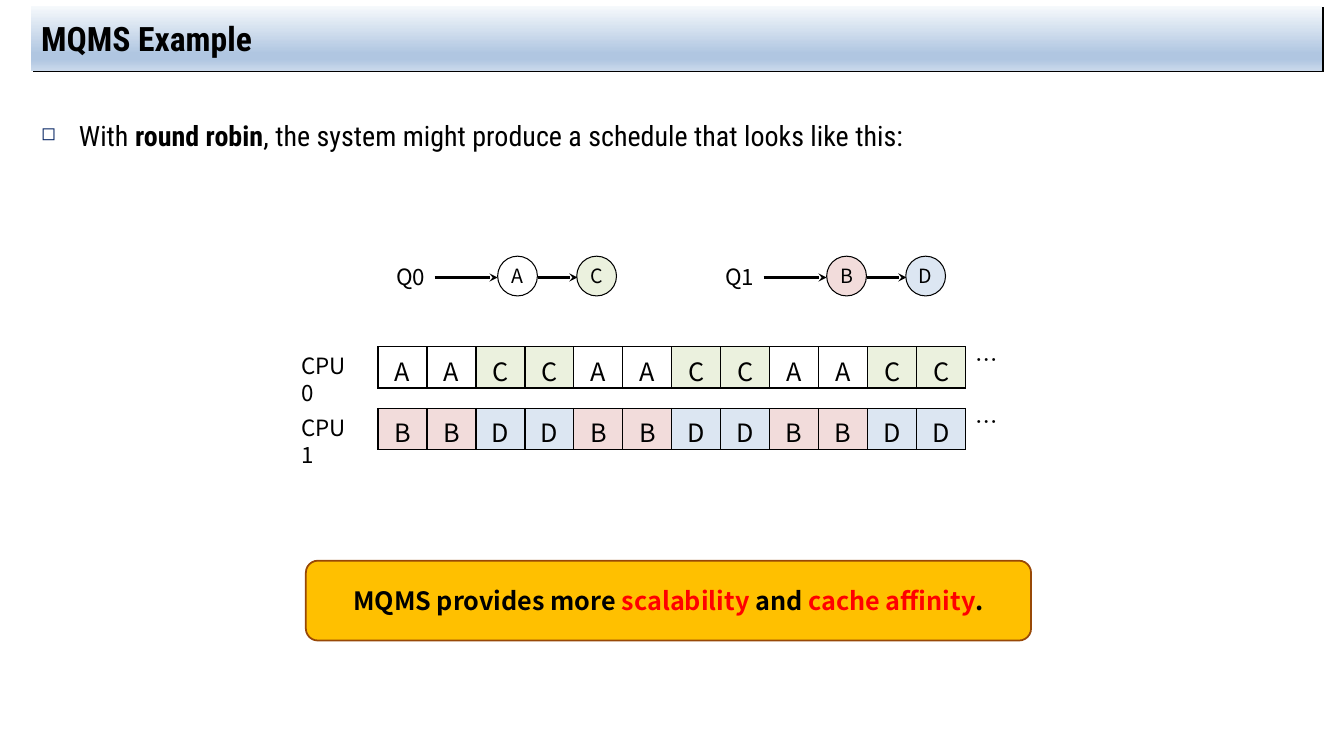
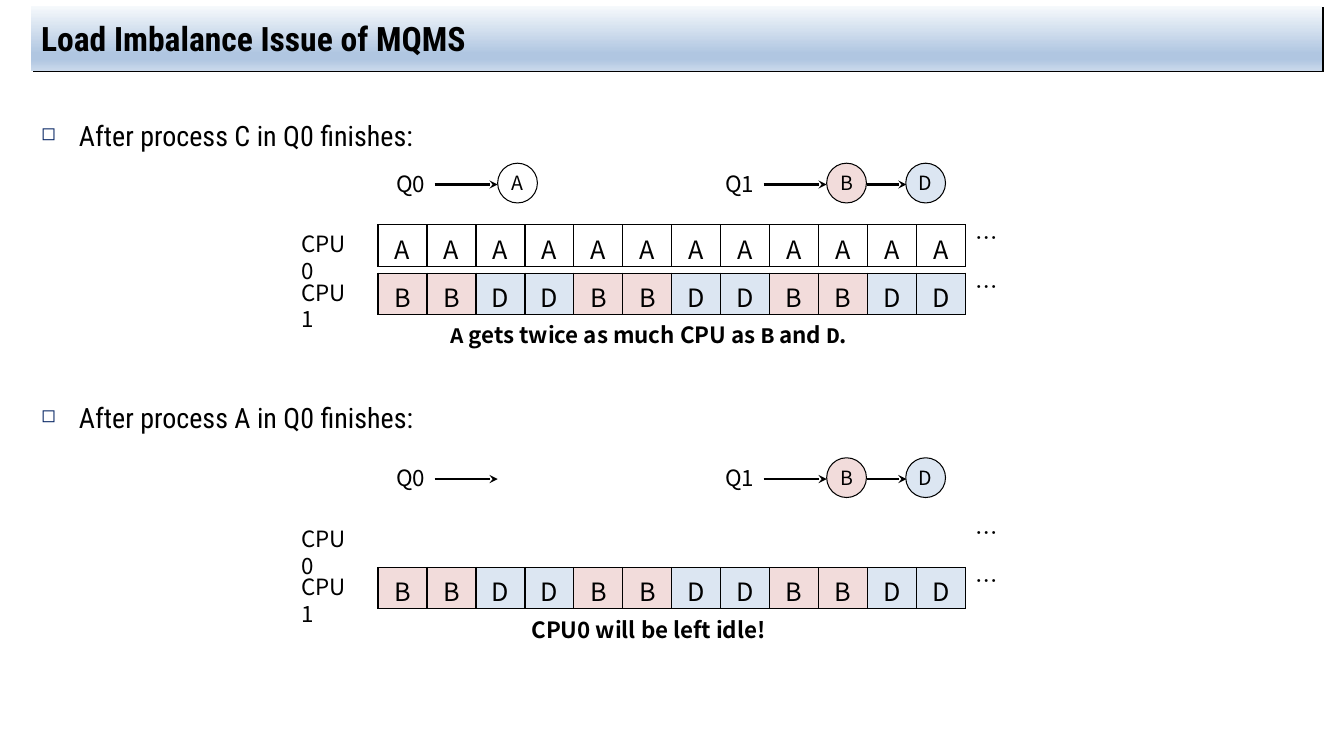
from lxml import etree
from pptx import Presentation
from pptx.dml.color import RGBColor
from pptx.enum import shapes, text
from pptx.oxml import ns
from pptx.util import Pt

BLACK = RGBColor(0x00, 0x00, 0x00)
WHITE = RGBColor(0xFF, 0xFF, 0xFF)
RED = RGBColor(0xFF, 0x00, 0x00)
NAVY = RGBColor(0x00, 0x20, 0x60)
GREEN = RGBColor(0xEB, 0xF1, 0xDE)
PINK = RGBColor(0xF2, 0xDC, 0xDB)
BLUE = RGBColor(0xDC, 0xE6, 0xF2)
AMBER = RGBColor(0xFF, 0xC0, 0x00)
BROWN = RGBColor(0x98, 0x48, 0x07)
BAND_STOPS = ((0, RGBColor(0xF6, 0xF9, 0xFC)), (74, RGBColor(0xB0, 0xC6, 0xE1)),
              (83, RGBColor(0xB0, 0xC6, 0xE1)), (100, RGBColor(0xCA, 0xD9, 0xEB)))
JOB_FILLS = {"A": WHITE, "B": PINK, "C": GREEN, "D": BLUE}

HEADING_FONT = "Roboto Condensed"
DIAGRAM_FONT = "Noto Sans CJK KR"
CODE_FONT = "Courier New"

QUEUE_LEFTS = (276, 511)
CIRCLE = 28.4
CELL_WIDTH, CELL_HEIGHT = 35, 29.5
TABLE_LEFT = 270


def add_xml(parent, tag, **attributes):
    """Append a drawing element such as a:ln to its parent."""
    child = etree.SubElement(parent, ns.qn(tag))
    for name, value in attributes.items():
        child.set(name, str(value))
    return child


class Deck:
    """The presentation, its style and the slide being filled."""

    def __init__(self):
        self.deck = Presentation()
        self.deck.slide_width, self.deck.slide_height = Pt(960), Pt(540)
        self.page = None

    def new_page(self, title):
        self.page = self.deck.slides.add_slide(self.deck.slide_layouts[6])
        band = self.shape(shapes.MSO_SHAPE.RECTANGLE, 22.3, 4.3, 922.4, 46, None, None)
        band.fill.gradient()
        band.fill.gradient_angle = 270
        stops = band._element.spPr.find(".//" + ns.qn("a:gsLst"))
        stops.clear()
        for percent, color in BAND_STOPS:
            stop = add_xml(stops, "a:gs", pos=percent * 1000)
            add_xml(stop, "a:srgbClr", val=color)
        effects = band._element.spPr.find(ns.qn("a:effectLst"))
        shadow = add_xml(effects, "a:outerShdw", blurRad=0, dist=Pt(1.4),
                         dir=45 * 60000, algn="ctr", rotWithShape=0)
        add_xml(shadow, "a:srgbClr", val=BLACK)
        self.set_text(band.text_frame, [title], 24, HEADING_FONT, bold=True)

    def set_text(self, frame, spans, size, font=DIAGRAM_FONT, bold=None, centred=False):
        """Fill the first paragraph; a span is text or (text, font settings)."""
        para = frame.paragraphs[0]
        para.alignment = text.PP_ALIGN.CENTER if centred else text.PP_ALIGN.LEFT
        para.font.size, para.font.name, para.font.bold = Pt(size), font, bold
        para.font.color.rgb = BLACK
        for item in spans:
            words, style = (item, {}) if isinstance(item, str) else item
            span = para.add_run()
            span.text = words
            if "color" in style:
                span.font.color.rgb = style["color"]
            if "font" in style:
                span.font.name = style["font"]
            if "bold" in style:
                span.font.bold = style["bold"]

    def shape(self, kind, left, top, width, height, fill, line, line_width=0.75):
        shape = self.page.shapes.add_shape(kind, Pt(left), Pt(top), Pt(width), Pt(height))
        shape.shadow.inherit = False
        if fill is not None:
            shape.fill.solid()
            shape.fill.fore_color.rgb = fill
        if line is None:
            shape.line.fill.background()
        else:
            shape.line.color.rgb = line
            shape.line.width = Pt(line_width)
        shape.text_frame.vertical_anchor = text.MSO_ANCHOR.MIDDLE
        return shape

    def text_box(self, left, top, width, height):
        box = self.page.shapes.add_textbox(Pt(left), Pt(top), Pt(width), Pt(height))
        box.text_frame.word_wrap = True
        return box.text_frame

    def label(self, left, top, width, spans, **style):
        self.set_text(self.text_box(left, top, width, 26.5), spans, 16, **style)

    def bullet(self, top, *spans):
        frame = self.text_box(22.3, top, 922.4, 44)
        properties = frame.paragraphs[0]._p.get_or_add_pPr()
        properties.set("marL", str(Pt(27)))
        properties.set("indent", str(Pt(-27)))
        add_xml(add_xml(properties, "a:buClr"), "a:srgbClr", val=NAVY)
        add_xml(properties, "a:buSzPct", val=65000)
        add_xml(properties, "a:buChar", char="◻")
        frame.paragraphs[0].line_spacing = 1.5
        self.set_text(frame, spans, 20, HEADING_FONT)

    def arrow(self, start, end, y):
        line = self.page.shapes.add_connector(
            shapes.MSO_CONNECTOR.STRAIGHT, Pt(start), Pt(y), Pt(end), Pt(y))
        line.line.color.rgb = BLACK
        line.line.width = Pt(1.5)
        properties = line._element.spPr
        add_xml(properties.find(ns.qn("a:ln")), "a:tailEnd", type="stealth")
        add_xml(properties, "a:effectLst")

    def job(self, name, left, top):
        circle = self.shape(shapes.MSO_SHAPE.OVAL, left, top, CIRCLE, CIRCLE,
                            JOB_FILLS[name], BLACK)
        frame = circle.text_frame
        frame.margin_left = frame.margin_right = 0
        self.set_text(frame, [name], 14, centred=True)

    def queues(self, top, *queues):
        """Draw Q0, Q1, ... side by side, each with its waiting jobs."""
        for number, (left, jobs) in enumerate(zip(QUEUE_LEFTS, queues)):
            self.label(left, top + 1.2, 40, [f"Q{number}"])
            self.arrow(left + 34.5, left + 79.5, top + 15.2)
            for place, name in enumerate(jobs):
                if place:
                    self.arrow(left + 108.5, left + 136.5, top + 15.2)
                self.job(name, left + 79.5 + 56.5 * place, top)

    def cpu_row(self, number, top, jobs):
        """Draw one processor's time slices; an idle one has no jobs."""
        self.label(208, top + 0.3, 53.8, [f"CPU{number}"])
        self.label(689.8, top - 3.8, 28, ["…"])
        if jobs:
            self.schedule(top, jobs)

    def schedule(self, top, jobs):
        table = self.page.shapes.add_table(
            1, len(jobs), Pt(TABLE_LEFT), Pt(top),
            Pt(CELL_WIDTH * len(jobs)), Pt(CELL_HEIGHT)).table
        table.first_row = table.horz_banding = False
        for cell, name in zip(table.iter_cells(), jobs):
            properties = cell._tc.get_or_add_tcPr()
            for side in ("a:lnL", "a:lnR", "a:lnT", "a:lnB"):
                border = add_xml(properties, side, w=Pt(1))
                add_xml(add_xml(border, "a:solidFill"), "a:srgbClr", val=BLACK)
            cell.fill.solid()
            cell.fill.fore_color.rgb = JOB_FILLS[name]
            self.set_text(cell.text_frame, [name], 18, centred=True)

    def caption(self, top, *spans):
        self.label(298.8, top, 329, spans, bold=True, centred=True)

    def callout(self, *spans):
        box = self.shape(shapes.MSO_SHAPE.ROUNDED_RECTANGLE, 218.5, 400.5, 518, 57,
                         AMBER, BROWN, 1.25)
        box.adjustments[0] = 0.15
        self.set_text(box.text_frame, spans, 18, bold=True, centred=True)


def main():
    deck = Deck()
    code = {"font": CODE_FONT}
    red = {"color": RED}

    deck.new_page("MQMS Example")
    deck.bullet(69, "With ", ("round robin", {"bold": True}),
                ", the system might produce a schedule that looks like this:")
    deck.queues(183, "AC", "BD")
    deck.cpu_row(0, 247.7, "AACC" * 3)
    deck.cpu_row(1, 291.7, "BBDD" * 3)
    deck.callout("MQMS provides more ", ("scalability", red), " and ",
                 ("cache affinity", red), ".")

    deck.new_page("Load Imbalance Issue of MQMS")
    deck.bullet(69, "After process C in Q0 finishes:")
    deck.queues(116.6, "A", "BD")
    deck.cpu_row(0, 160.6, "A" * 12)
    deck.cpu_row(1, 195.2, "BBDD" * 3)
    deck.caption(226, ("A", code), " gets twice as much CPU as ", ("B", code),
                 " and ", ("D", code), ".")

    deck.bullet(270.5, "After process A in Q0 finishes:")
    deck.queues(327, "", "BD")
    deck.cpu_row(0, 371, "")
    deck.cpu_row(1, 405.3, "BBDD" * 3)
    deck.caption(436.3, "CPU0 will be left idle!")

    deck.deck.save("out.pptx")


if __name__ == "__main__":
    main()
